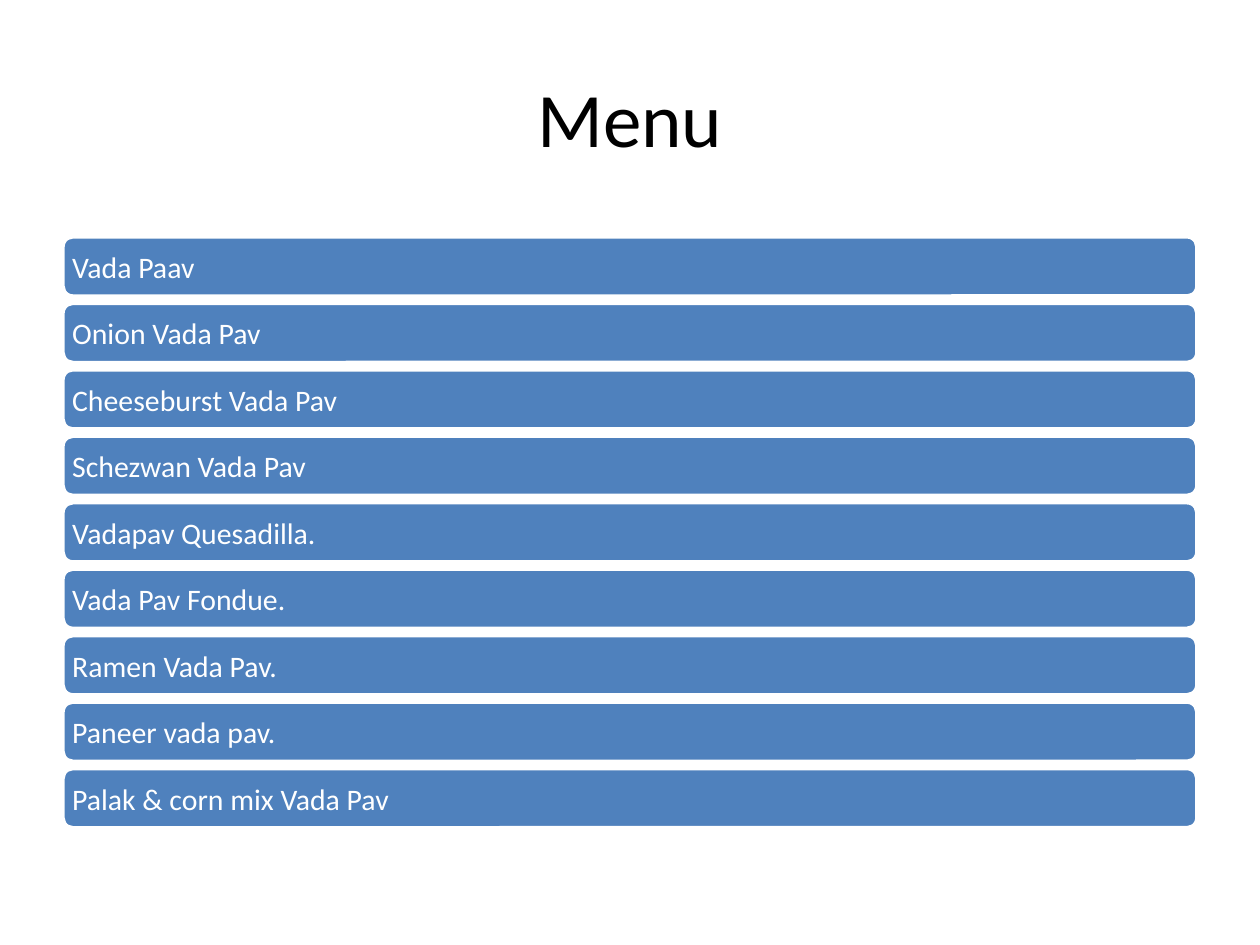
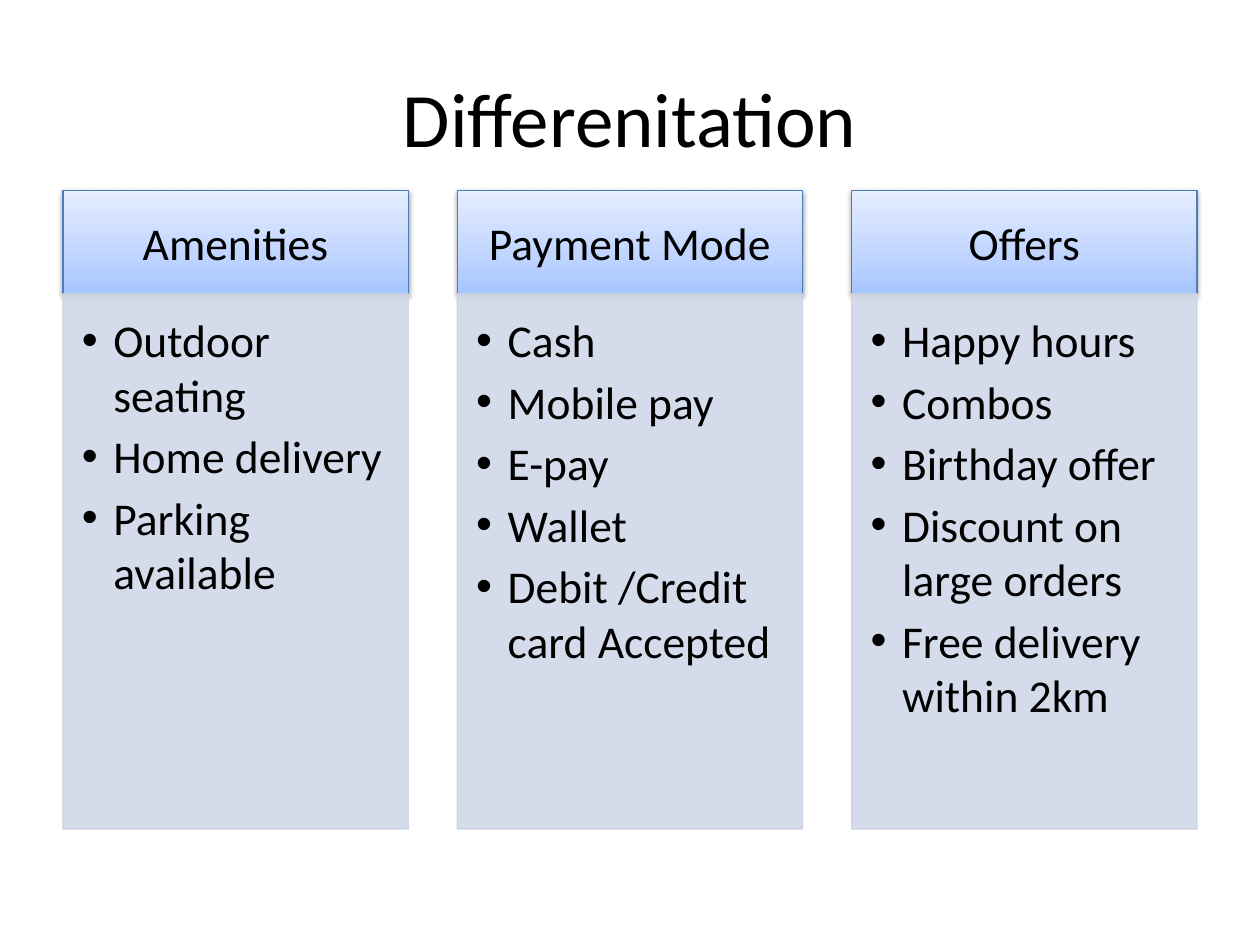
from lxml import etree
from pptx import Presentation
from pptx.dml.color import RGBColor
from pptx.enum.shapes import MSO_SHAPE as Shape
from pptx.enum.text import MSO_ANCHOR as Anchor, PP_ALIGN as Align
from pptx.oxml.ns import qn
from pptx.util import Inches, Pt

FONT = "Calibri"
BLACK = RGBColor(0x00, 0x00, 0x00)
WHITE = RGBColor(0xFF, 0xFF, 0xFF)
BAR_BLUE = RGBColor(0x4F, 0x81, 0xBD)
HEADER_LINE = RGBColor(0x4B, 0x7E, 0xBC)
PANEL_FILL = RGBColor(0xD0, 0xD8, 0xE8)
PANEL_LINE = RGBColor(0xCB, 0xD3, 0xE3)
HEADER_GRADIENT = [
    (0, RGBColor(0xA4, 0xC4, 0xFF)),
    (35, RGBColor(0xBF, 0xD4, 0xFF)),
    (100, RGBColor(0xE6, 0xEE, 0xFF)),
]

# Shared content area, in inches
LEFT, WIDTH = 0.5, 9

# Menu bars
BAR_TOP, BAR_HEIGHT, BAR_GAP = 1.88, 0.47, 0.0575

# Columns
COLUMN_WIDTH = 2.74
HEADER_TOP, HEADER_HEIGHT = 1.51, 0.82
PANEL_HEIGHT = 4.25

DISHES = [
    "Vada Paav", "Onion Vada Pav", "Cheeseburst Vada Pav",
    "Schezwan Vada Pav", "Vadapav Quesadilla.", "Vada Pav Fondue.",
    "Ramen Vada Pav.", "Paneer vada pav.", "Palak & corn mix Vada Pav",
]
COLUMNS = [
    ("Amenities", ["Outdoor seating", "Home delivery", "Parking available"]),
    ("Payment Mode", ["Cash", "Mobile pay", "E-pay", "Wallet",
                      "Debit /Credit card Accepted"]),
    ("Offers", ["Happy hours", "Combos", "Birthday offer",
                "Discount on large orders", "Free delivery within 2km"]),
]


def add_child(parent, tag, **attributes):
    child = etree.SubElement(parent, qn(tag))
    for key, value in attributes.items():
        child.set(key, str(value))
    return child


def format_text(frame, size, color, align):
    for paragraph in frame.paragraphs:
        paragraph.alignment = align
        for run in paragraph.runs:
            run.font.name = FONT
            run.font.size = Pt(size)
            run.font.color.rgb = color


def add_titled_slide(deck, title):
    slide = deck.slides.add_slide(deck.slide_layouts[5])
    heading = slide.shapes.title
    heading.left, heading.top = Inches(LEFT), Inches(0.3)
    heading.width, heading.height = Inches(WIDTH), Inches(1.25)
    frame = heading.text_frame
    frame.text = title
    frame.vertical_anchor = Anchor.MIDDLE
    format_text(frame, 44, BLACK, Align.CENTER)
    return slide


def add_block(slide, kind, box, line_color, line_width, insets, anchor):
    block = slide.shapes.add_shape(kind, *(Inches(n) for n in box))
    block.shadow.inherit = False
    block.line.color.rgb = line_color
    block.line.width = Pt(line_width)
    frame = block.text_frame
    frame.word_wrap = True
    frame.vertical_anchor = anchor
    (frame.margin_left, frame.margin_top,
     frame.margin_right, frame.margin_bottom) = (Inches(n) for n in insets)
    return block


def add_menu_bar(slide, top, dish):
    bar = add_block(slide, Shape.ROUNDED_RECTANGLE,
                    (LEFT, top, WIDTH, BAR_HEIGHT), WHITE, 2,
                    (0.05, 0.05, 0.05, 0.05), Anchor.MIDDLE)
    bar.fill.solid()
    bar.fill.fore_color.rgb = BAR_BLUE
    bar.text_frame.text = dish
    format_text(bar.text_frame, 17, WHITE, Align.LEFT)


def apply_header_gradient(header):
    header.fill.gradient()
    header.fill.gradient_angle = 90
    stops = header._element.spPr.find(qn("a:gradFill")).find(qn("a:gsLst"))
    for stop in list(stops):
        stops.remove(stop)
    for position, color in HEADER_GRADIENT:
        stop = add_child(stops, "a:gs", pos=position * 1000)
        add_child(stop, "a:srgbClr", val=color)


def apply_soft_shadow(header):
    effects = header._element.spPr.find(qn("a:effectLst"))
    shadow = add_child(effects, "a:outerShdw", blurRad=Pt(3.1), dist=Pt(1.6),
                       dir=90 * 60000, rotWithShape=0)
    tint = add_child(shadow, "a:srgbClr", val=BLACK)
    add_child(tint, "a:alpha", val=38000)


def add_column_header(slide, left, heading):
    header = add_block(slide, Shape.RECTANGLE,
                       (left, HEADER_TOP, COLUMN_WIDTH, HEADER_HEIGHT),
                       HEADER_LINE, 0.75, (0.2, 0.12, 0.2, 0.12),
                       Anchor.MIDDLE)
    apply_header_gradient(header)
    apply_soft_shadow(header)
    header.text_frame.text = heading
    format_text(header.text_frame, 26, BLACK, Align.CENTER)


def add_bullets(frame):
    for paragraph in frame.paragraphs:
        paragraph.space_after = Pt(3.9)
        properties = paragraph._p.get_or_add_pPr()
        properties.set("marL", str(Inches(0.25)))
        properties.set("indent", str(Inches(-0.25)))
        add_child(properties, "a:buFont", typeface="Arial")
        add_child(properties, "a:buChar", char="•")


def add_column_panel(slide, left, points):
    panel = add_block(slide, Shape.RECTANGLE,
                      (left, HEADER_TOP + HEADER_HEIGHT,
                       COLUMN_WIDTH, PANEL_HEIGHT),
                      PANEL_LINE, 0.75, (0.15, 0.15, 0.2, 0.23), Anchor.TOP)
    panel.fill.solid()
    panel.fill.fore_color.rgb = PANEL_FILL
    # Fill and outline are both slightly transparent
    for color in panel._element.spPr.iter(qn("a:srgbClr")):
        add_child(color, "a:alpha", val=90000)
    panel.text_frame.text = "\n".join(points)
    format_text(panel.text_frame, 26, BLACK, Align.LEFT)
    add_bullets(panel.text_frame)


def main():
    deck = Presentation()
    deck.slide_width, deck.slide_height = Inches(10), Inches(7.5)

    # Menu
    menu = add_titled_slide(deck, "Menu")
    for row, dish in enumerate(DISHES):
        add_menu_bar(menu, BAR_TOP + row * (BAR_HEIGHT + BAR_GAP), dish)

    # Amenities, payment and offers
    comparison = add_titled_slide(deck, "Differenitation")
    column_step = (WIDTH - COLUMN_WIDTH) / (len(COLUMNS) - 1)
    for index, (heading, points) in enumerate(COLUMNS):
        left = LEFT + index * column_step
        add_column_header(comparison, left, heading)
        add_column_panel(comparison, left, points)

    deck.save("out.pptx")


if __name__ == "__main__":
    main()
